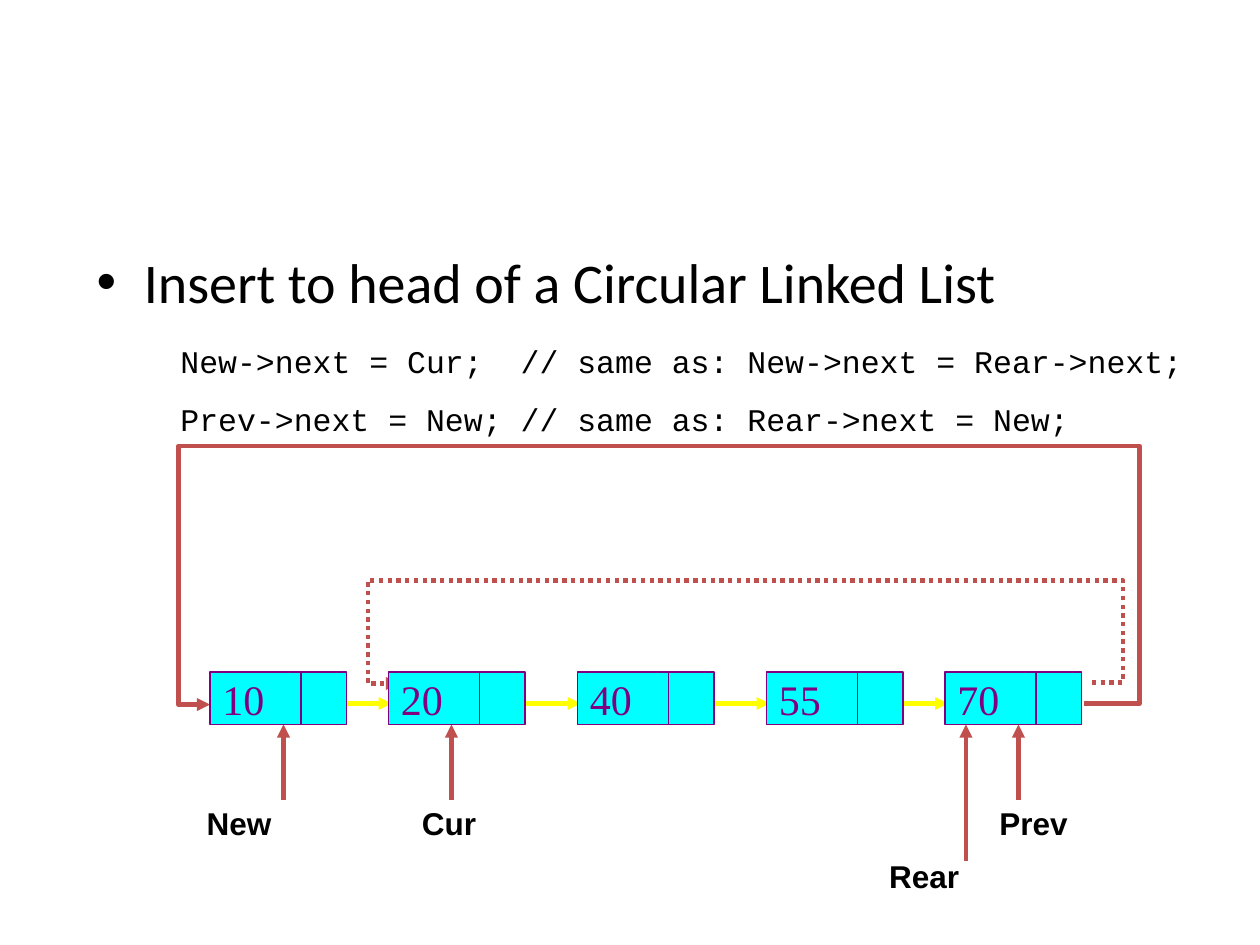
from dataclasses import dataclass

from lxml import etree
from pptx import Presentation
from pptx.dml.color import RGBColor
from pptx.enum.dml import MSO_LINE
from pptx.enum.shapes import MSO_CONNECTOR, MSO_SHAPE
from pptx.enum.text import MSO_ANCHOR, PP_ALIGN
from pptx.oxml.ns import qn
from pptx.util import Inches, Pt

STRAIGHT, ELBOW = MSO_CONNECTOR.STRAIGHT, MSO_CONNECTOR.ELBOW
RECTANGLE = MSO_SHAPE.RECTANGLE
LEFT, MIDDLE, TOP = PP_ALIGN.LEFT, MSO_ANCHOR.MIDDLE, MSO_ANCHOR.TOP
DOTTED = MSO_LINE.ROUND_DOT

COLUMNS, ROWS = 120, 90
SLIDE_WIDTH, SLIDE_HEIGHT = Inches(10), Inches(7.5)
BLACK, YELLOW, RED, CYAN, PURPLE = "000000", "FFFF00", "C0504D", "00FFFF", "800080"

NODE_TOP, NODE_HEIGHT = 64, 5
VALUE_WIDTH, LINK_WIDTH = 8.67, 4.33
LINK_ROW, LINK_LENGTH = 67, 5.3


@dataclass
class Node:
    """A list node and the start column of the link that leaves it."""
    value: str
    column: float
    link_column: float | None = None


@dataclass
class Pointer:
    """A named pointer: its label and the arrow up to a node."""
    name: str
    label_column: float
    label_row: float
    label_width: float
    arrow_column: float
    arrow_row: float


@dataclass
class Loop:
    """A link that runs back over the list to an earlier node."""
    start: float
    end: float
    row: float
    right: float
    left: float
    top: float
    dash: MSO_LINE | None = None


NODES = [
    Node("10", 20, 32), Node("20", 37, 50), Node("40", 55, 68),
    Node("55", 73, 85), Node("70", 90),
]
POINTERS = [
    Pointer("Rear", 83.5, 81, 18, 92, 82),
    Pointer("New", 18.5, 76, 17.5, 27, 76.2),
    Pointer("Prev", 94, 76, 15, 97, 76.2),
    Pointer("Cur", 39, 76, 15, 43, 76.2),
]
LOOPS = [
    Loop(103.2, 20, LINK_ROW, 108.5, 17, 42.25),
    Loop(104, 38, 65, 107, 35, 55.2, DOTTED),
]
CODE = [
    "New->next = Cur;  // same as: New->next = Rear->next;",
    "Prev->next = New; // same as: Rear->next = New;",
]


def across(columns: float) -> int:
    """Turn grid columns into a length."""
    return round(SLIDE_WIDTH * columns / COLUMNS)


def down(rows: float) -> int:
    """Turn grid rows into a length."""
    return round(SLIDE_HEIGHT * rows / ROWS)


def color(value: str) -> RGBColor:
    """Turn a hex string into a colour."""
    return RGBColor.from_string(value)


def write(shape, *lines: str, font: str, size: float, fill: str = BLACK, bold: bool = False,
          gap: float = 0, anchor=TOP, wrap: bool = True) -> None:
    """Fill a shape with formatted paragraphs."""
    frame = shape.text_frame
    frame.word_wrap = wrap
    frame.vertical_anchor = anchor
    for index, line in enumerate(lines):
        paragraph = frame.add_paragraph() if index else frame.paragraphs[0]
        paragraph.text = line
        paragraph.alignment = LEFT
        paragraph.space_before = Pt(gap if index else 0)
        paragraph.font.name = font
        paragraph.font.size = Pt(size)
        paragraph.font.bold = bold
        paragraph.font.color.rgb = color(fill)


def add_text(slide, column: float, row: float, width: float, height: float, *lines: str, **style) -> None:
    """Add a text box on the grid."""
    box = slide.shapes.add_textbox(across(column), down(row), across(width), down(height))
    write(box, *lines, **style)


def add_arrow(slide, start: tuple, end: tuple, stroke: str, kind=STRAIGHT, dash=None):
    """Add a connector with an arrowhead at its end."""
    arrow = slide.shapes.add_connector(
        kind, across(start[0]), down(start[1]), across(end[0]), down(end[1]))
    arrow.line.color.rgb = color(stroke)
    arrow.line.width = Pt(2.5)
    if dash is not None:
        arrow.line.dash_style = dash
    properties = arrow.element.spPr
    etree.SubElement(properties.find(qn("a:ln")), qn("a:tailEnd"), type="triangle")
    etree.SubElement(properties, qn("a:effectLst"))
    return arrow


def add_loop(slide, loop: Loop) -> None:
    """Add a five-part elbow arrow that passes over the list."""
    drop = 0.1
    arrow = add_arrow(slide, (loop.start, loop.row), (loop.end, loop.row + drop), RED, ELBOW, loop.dash)
    length = loop.start - loop.end
    bends = [
        (loop.start - loop.right) / length,
        (loop.top - loop.row) / drop,
        (loop.start - loop.left) / length,
    ]
    geometry = arrow.element.spPr.find(qn("a:prstGeom"))
    geometry.set("prst", "bentConnector5")
    guides = geometry.find(qn("a:avLst"))
    for number, bend in enumerate(bends, 1):
        etree.SubElement(guides, qn("a:gd"), name=f"adj{number}", fmla=f"val {round(bend * 100000)}")


def add_cell(group, column: float, width: float):
    """Add one cell of a node."""
    cell = group.shapes.add_shape(
        RECTANGLE, across(column), down(NODE_TOP), across(width), down(NODE_HEIGHT))
    cell.shadow.inherit = False
    cell.fill.solid()
    cell.fill.fore_color.rgb = color(CYAN)
    cell.line.color.rgb = color(PURPLE)
    cell.line.width = Pt(1)
    return cell


def add_node(slide, node: Node) -> None:
    """Add a node as a group of a value cell and a link cell."""
    group = slide.shapes.add_group_shape()
    value_cell = add_cell(group, node.column, VALUE_WIDTH)
    write(value_cell, node.value, font="Times New Roman", size=24, fill=PURPLE, anchor=MIDDLE, wrap=False)
    add_cell(group, node.column + VALUE_WIDTH, LINK_WIDTH)


def add_pointer(slide, pointer: Pointer) -> None:
    """Add a pointer's label and its arrow."""
    add_text(slide, pointer.label_column, pointer.label_row, pointer.label_width, 4.8,
             pointer.name, font="Arial", size=18, bold=True)
    add_arrow(slide, (pointer.arrow_column, pointer.arrow_row),
              (pointer.arrow_column, NODE_TOP + NODE_HEIGHT), RED)


def main() -> None:
    """Build and save the slide."""
    presentation = Presentation()
    presentation.slide_width, presentation.slide_height = SLIDE_WIDTH, SLIDE_HEIGHT
    slide = presentation.slides.add_slide(presentation.slide_layouts[1])
    title = slide.shapes.title.element
    title.getparent().remove(title)
    body = slide.placeholders[1]
    body.left, body.top, body.width, body.height = across(8), down(23), across(103), down(57)
    write(body, "Insert to head of a Circular Linked List", font="Calibri", size=32)
    for node in NODES:
        if node.link_column is not None:
            add_arrow(slide, (node.link_column, LINK_ROW),
                      (node.link_column + LINK_LENGTH, LINK_ROW), YELLOW)
    for loop in LOOPS:
        add_loop(slide, loop)
    add_text(slide, 16, 32, 101, 10.3, *CODE, font="Courier New", size=18, gap=11.2)
    for pointer in POINTERS:
        add_pointer(slide, pointer)
    for node in NODES:
        add_node(slide, node)
    presentation.save("out.pptx")


if __name__ == "__main__":
    main()
